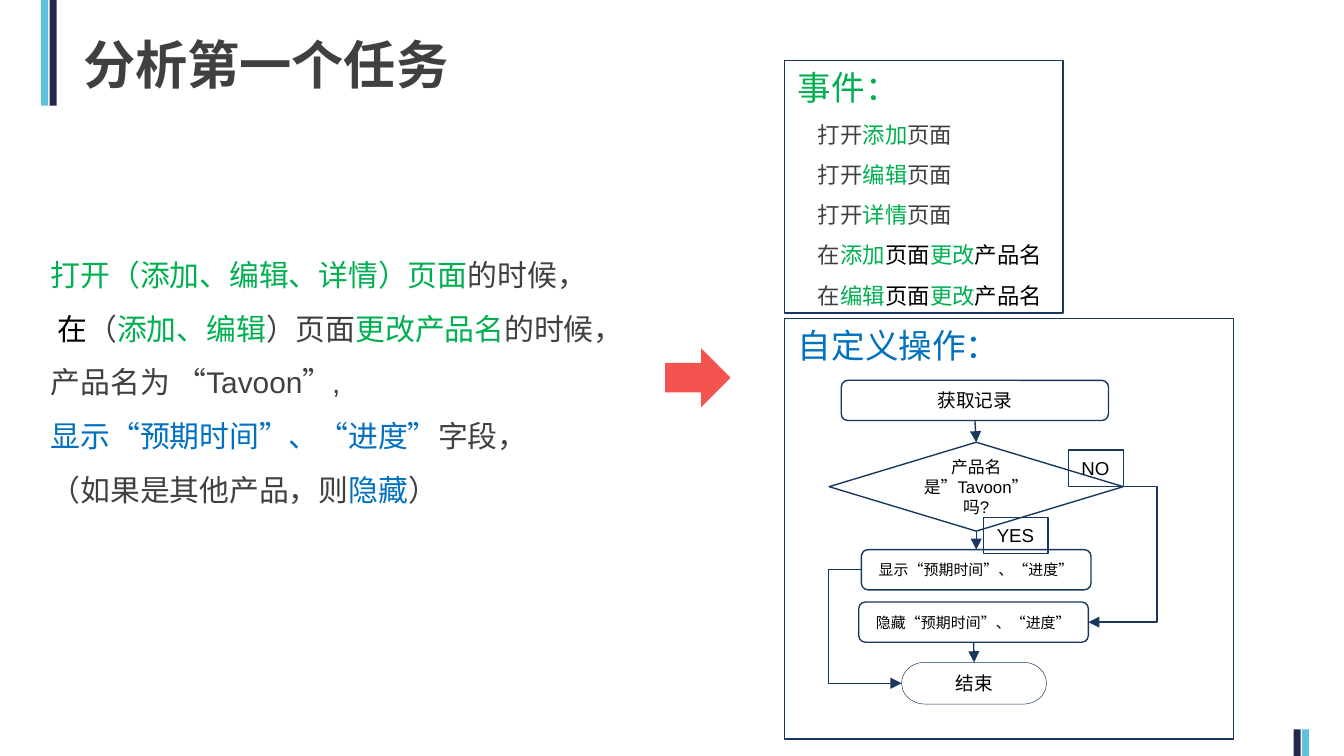
from lxml import etree
from pptx import Presentation
from pptx.dml.color import RGBColor
from pptx.enum.lang import MSO_LANGUAGE_ID
from pptx.enum.shapes import MSO_CONNECTOR, MSO_SHAPE
from pptx.enum.text import MSO_ANCHOR, PP_ALIGN
from pptx.oxml.ns import qn
from pptx.util import Cm, Pt

RECTANGLE = MSO_SHAPE.RECTANGLE
PROCESS = MSO_SHAPE.FLOWCHART_ALTERNATE_PROCESS
TERMINATOR = MSO_SHAPE.FLOWCHART_TERMINATOR
DIAMOND = MSO_SHAPE.DIAMOND
RIGHT_ARROW = MSO_SHAPE.RIGHT_ARROW
STRAIGHT, ELBOW = MSO_CONNECTOR.STRAIGHT, MSO_CONNECTOR.ELBOW
TOP, MIDDLE = MSO_ANCHOR.TOP, MSO_ANCHOR.MIDDLE
LEFT, CENTER = PP_ALIGN.LEFT, PP_ALIGN.CENTER
CHINESE = MSO_LANGUAGE_ID.SIMPLIFIED_CHINESE
SITE_TOP, SITE_LEFT, SITE_BOTTOM, SITE_RIGHT = range(4)

FONT = "Arial"
COLORS = {
    "sky": "5EC2DD", "navy": "21294D", "outline": "17375E", "red": "F45450",
    "gray": "404040", "black": "000000", "white": "FFFFFF",
    "green": "00B050", "blue": "0070C0",
}


def color(name):
    return RGBColor.from_string(COLORS[name])


def add_box(slide, kind, box, fill=None, line=None, line_width=0.75):
    shape = slide.shapes.add_shape(kind, *(Cm(length) for length in box))
    shape.shadow.inherit = False
    if fill:
        shape.fill.solid()
        shape.fill.fore_color.rgb = color(fill)
    else:
        shape.fill.background()
    if line:
        shape.line.color.rgb = color(line)
        shape.line.width = Pt(line_width)
    else:
        shape.line.fill.background()
    return shape


def write(shape, runs, size=10, bold=False, align=LEFT, anchor=TOP, wrap=True,
          spacing=None, indent=0, append=False):
    """Write one paragraph made of (text, color name) runs."""
    frame = shape.text_frame
    frame.word_wrap = wrap
    frame.vertical_anchor = anchor
    paragraph = frame.add_paragraph() if append else frame.paragraphs[0]
    paragraph.alignment = align
    if spacing:
        paragraph.line_spacing = spacing
    if indent:
        paragraph._p.get_or_add_pPr().set("marL", str(Cm(indent)))
    for text, color_name in runs:
        run = paragraph.add_run()
        run.text = text
        run.font.name = FONT
        run.font.size = Pt(size)
        run.font.bold = bold
        run.font.language_id = CHINESE
        run.font.color.rgb = color(color_name)


def connect(slide, kind, start, start_site, end, end_site, bend=None):
    """Join two shapes with an arrow; bend places the elbow as a share of its width."""
    connector = slide.shapes.add_connector(kind, 0, 0, 0, 0)
    connector.begin_connect(start, start_site)
    connector.end_connect(end, end_site)
    connector.line.color.rgb = color("outline")
    connector.line.width = Pt(0.75)
    etree.SubElement(connector.line._get_or_add_ln(), qn("a:tailEnd"), type="triangle")
    properties = connector._element.spPr
    etree.SubElement(properties, qn("a:effectLst"))
    if bend is not None:
        guides = properties.find(qn("a:prstGeom")).get_or_add_avLst()
        etree.SubElement(guides, qn("a:gd"), name="adj1", fmla=f"val {round(bend * 100000)}")


def add_stripes(slide, box, names):
    left, top, width, height = box
    for index, name in enumerate(names):
        add_box(slide, RECTANGLE, (left + index * 0.16, top, width, height), fill=name)


def add_title(slide, box):
    title = slide.shapes.add_textbox(*(Cm(length) for length in box))
    write(title, [("分析第一个任务", "gray")], size=28, bold=True)


def add_task(slide, box):
    task = slide.shapes.add_textbox(*(Cm(length) for length in box))
    lines = [
        [("打开（添加、编辑、详情）页面", "green"), ("的时候，", "gray")],
        [("在", "black"), ("（", "gray"), ("添加、编辑", "green"), ("）页面", "gray"),
         ("更改产品名", "green"), ("的时候，", "gray")],
        [("产品名为 “Tavoon”,", "gray")],
        [("显示“预期时间”、“进度”", "blue"), ("字段，", "gray")],
        [("（如果是其他产品，则", "gray"), ("隐藏", "blue"), ("）", "gray")],
    ]
    for index, runs in enumerate(lines):
        write(task, runs, size=16, spacing=1.5, append=index > 0,
              indent=0.13 if index == 1 else 0)


def add_events(slide, box):
    panel = add_box(slide, RECTANGLE, box, line="outline")
    write(panel, [("事件：", "green")], size=18, wrap=False)
    opened = [[("打开", "gray"), (page, "green"), ("页面", "gray")]
              for page in ("添加", "编辑", "详情")]
    changed = [[("在", "gray"), (page, "green"), ("页面", "black"),
                ("更改", "green"), ("产品名", "black")]
               for page in ("添加", "编辑")]
    for runs in opened + changed:
        write(panel, runs, size=12, wrap=False, spacing=1.5, indent=0.38, append=True)


def add_flow(slide, box):
    left, top = box[:2]
    panel = add_box(slide, RECTANGLE, box, line="outline")
    write(panel, [("自定义操作：", "blue")], size=18)

    def add_step(kind, text, x, y, width, height, size=10, fill=None, line_width=0.75):
        step = add_box(slide, kind, (left + x, top + y, width, height),
                       fill, "outline", line_width)
        write(step, [(text, "black")], size=size, align=CENTER, anchor=MIDDLE)
        return step

    def add_label(text, x, y, width):
        label = add_box(slide, RECTANGLE, (left + x, top + y, width, 0.69), line="outline")
        write(label, [(text, "black")], wrap=False)

    get_record = add_step(PROCESS, "获取记录", 1.07, 1.17, 5.05, 0.76, fill="white")
    decision = add_step(DIAMOND, "产品名是”Tavoon”吗?", 0.84, 2.34, 5.56, 1.68, size=9)
    show = add_step(PROCESS, "显示“预期时间”、“进度”", 1.45, 4.37, 4.34, 0.76,
                    size=8, fill="white")
    hide = add_step(PROCESS, "隐藏“预期时间”、“进度”", 1.4, 5.36, 4.34, 0.76,
                    size=8, fill="white")
    end = add_step(TERMINATOR, "结束", 2.21, 6.5, 2.74, 0.79, line_width=0.25)

    for upper, lower in ((get_record, decision), (decision, show), (hide, end)):
        connect(slide, STRAIGHT, upper, SITE_BOTTOM, lower, SITE_TOP)
    connect(slide, ELBOW, decision, SITE_RIGHT, hide, SITE_RIGHT, bend=-0.97)
    connect(slide, ELBOW, show, SITE_LEFT, end, SITE_LEFT, bend=-0.82)
    add_label("NO", 5.36, 2.49, 1.04)
    add_label("YES", 3.76, 3.76, 1.22)


def main():
    presentation = Presentation()
    presentation.slide_width = Cm(25.4)
    presentation.slide_height = Cm(14.29)
    slide = presentation.slides.add_slide(presentation.slide_layouts[6])
    add_stripes(slide, (0.78, 0, 0.13, 2), ("sky", "navy"))
    add_stripes(slide, (24.45, 13.79, 0.13, 0.5), ("navy", "sky"))
    add_title(slide, (1.32, 0.48, 13.26, 1.45))
    add_box(slide, RIGHT_ARROW, (12.57, 6.58, 1.24, 1.12), fill="red")
    add_events(slide, (14.83, 1.14, 5.26, 4.78))
    add_flow(slide, (14.83, 6.02, 8.48, 7.95))
    add_task(slide, (0.71, 4.39, 11.43, 5.26))
    presentation.save("out.pptx")


if __name__ == "__main__":
    main()
